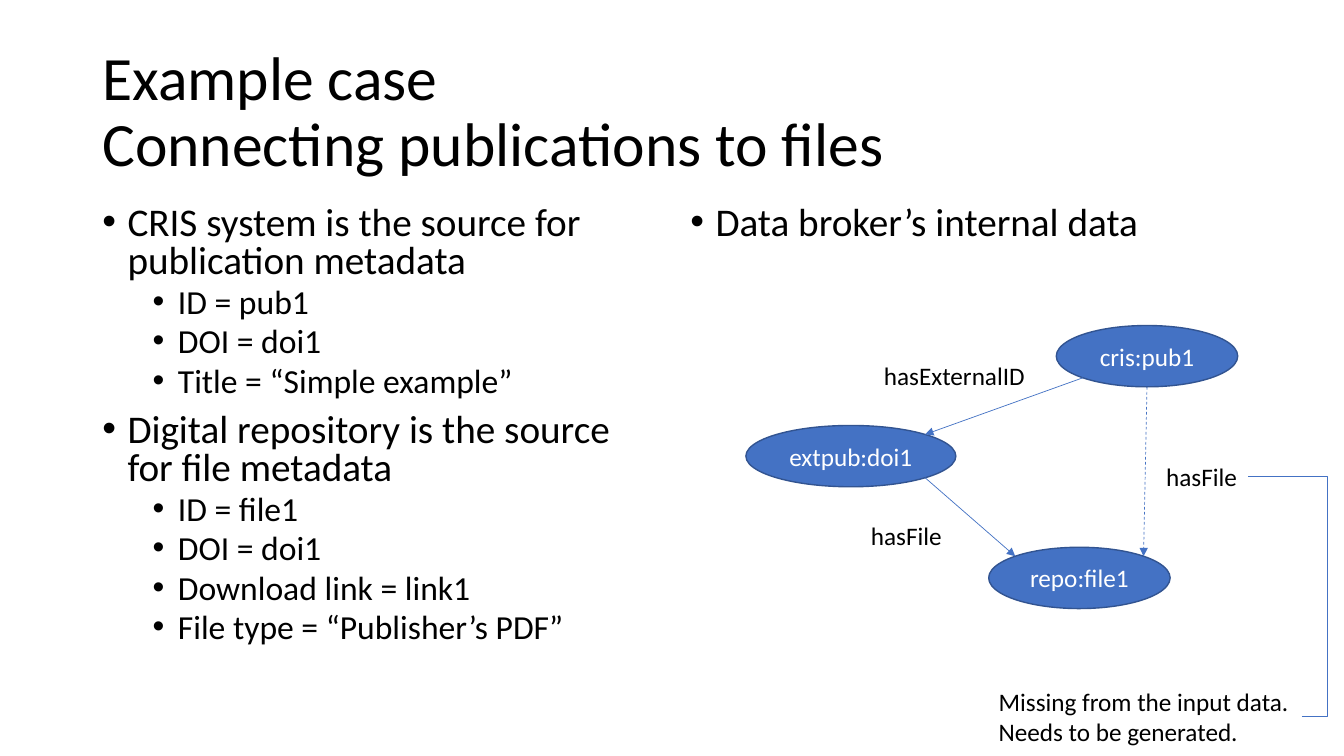
from math import cos, radians, sin
from lxml.etree import SubElement
from pptx import Presentation
from pptx.dml.color import RGBColor
from pptx.enum.dml import MSO_LINE_DASH_STYLE as Dash
from pptx.enum.shapes import MSO_CONNECTOR as Link, MSO_SHAPE as Preset
from pptx.enum.text import MSO_ANCHOR as Anchor, MSO_AUTO_SIZE as Fit, PP_ALIGN as Align
from pptx.oxml.ns import qn
from pptx.util import Inches, Pt

COLORS = {"text": "000000", "node": "4472C4", "edge": "325491", "on_node": "FFFFFF"}
COLUMNS, ROWS = 32, 18
BULLETS = [
    {"size": 28, "before": 10, "indent": 0.25},
    {"size": 24, "before": 5, "indent": 0.75},
]


def apply(target, values):
    for name, value in values.items():
        setattr(target, name, value)


class Diagram:
    font = "Calibri"

    def __init__(self, deck):
        self.column = deck.slide_width / COLUMNS
        self.row = deck.slide_height / ROWS
        self.shapes = deck.slides.add_slide(deck.slide_layouts[6]).shapes

    def place(self, *lengths):
        units = (self.column, self.row) * 2
        return [round(length * unit) for length, unit in zip(lengths, units)]

    def fill_in(self, paragraph, text, size, color="text", **layout):
        paragraph.text = text
        apply(paragraph, layout)
        for run in paragraph.runs:
            apply(run.font, {"name": self.font, "size": Pt(size)})
            run.font.color.rgb = RGBColor.from_string(COLORS[color])

    def paragraphs(self, frame, count):
        return [frame.paragraphs[0]] + [frame.add_paragraph() for _ in range(count - 1)]

    def title(self, box, text):
        frame = self.shapes.add_textbox(*self.place(*box)).text_frame
        apply(frame, {"word_wrap": True, "vertical_anchor": Anchor.MIDDLE})
        self.fill_in(frame.paragraphs[0], text, 44, line_spacing=0.9)

    def bullets(self, box, items):
        frame = self.shapes.add_textbox(*self.place(*box)).text_frame
        frame.word_wrap = True
        for paragraph, (level, text) in zip(self.paragraphs(frame, len(items)), items):
            style = BULLETS[level]
            self.fill_in(paragraph, text, style["size"], level=level,
                         line_spacing=0.8, space_before=Pt(style["before"]))
            props = paragraph._p.get_or_add_pPr()
            props.set("marL", str(Inches(style["indent"])))
            props.set("indent", str(-Inches(0.25)))
            SubElement(props, qn("a:buFont")).set("typeface", "Arial")
            SubElement(props, qn("a:buChar")).set("char", "•")

    def label(self, box, *lines):
        frame = self.shapes.add_textbox(*self.place(*box)).text_frame
        apply(frame, {"word_wrap": False, "auto_size": Fit.SHAPE_TO_FIT_TEXT})
        for paragraph, line in zip(self.paragraphs(frame, len(lines)), lines):
            self.fill_in(paragraph, line, 18)

    def node(self, box, text):
        oval = self.shapes.add_shape(Preset.OVAL, *self.place(*box))
        oval.shadow.inherit = False
        oval.fill.solid()
        oval.fill.fore_color.rgb = RGBColor.from_string(COLORS["node"])
        oval.line.color.rgb = RGBColor.from_string(COLORS["edge"])
        oval.line.width = Pt(1)
        oval.text_frame.vertical_anchor = Anchor.MIDDLE
        self.fill_in(oval.text_frame.paragraphs[0], text, 18, "on_node", alignment=Align.CENTER)
        return oval

    def rim(self, oval, degrees):
        across, down = oval.width / 2, oval.height / 2
        angle = radians(degrees)
        return (round(oval.left + across * (1 + cos(angle))),
                round(oval.top + down * (1 + sin(angle))))

    def line(self, kind, start, end, dash=None):
        link = self.shapes.add_connector(kind, *start, *end)
        link.line.color.rgb = RGBColor.from_string(COLORS["node"])
        apply(link.line, {"width": Pt(0.5), "dash_style": dash})
        SubElement(link._element.spPr, qn("a:effectLst"))
        return link

    def arrow(self, source, leave, target, arrive, dash=None):
        link = self.line(Link.STRAIGHT, self.rim(source, leave), self.rim(target, arrive), dash)
        SubElement(link._element.spPr.get_or_add_ln(), qn("a:tailEnd")).set("type", "triangle")

    def bracket(self, start, end, bend):
        link = self.line(Link.ELBOW, self.place(*start), self.place(*end))
        outline = link._element.spPr.find(qn("a:prstGeom"))
        guide = SubElement(outline.get_or_add_avLst(), qn("a:gd"))
        guide.set("name", "adj1")
        guide.set("fmla", f"val {round(bend * 100000)}")


def main():
    deck = Presentation()
    apply(deck, {"slide_width": Inches(13.33), "slide_height": Inches(7.5)})
    diagram = Diagram(deck)

    diagram.title((2.2, 0.96, 27.6, 3.48), "Example case\nConnecting publications to files")
    sources = [
        (0, "CRIS system is the source for publication metadata"),
        (1, "ID = pub1"),
        (1, "DOI = doi1"),
        (1, "Title = “Simple example”"),
        (0, "Digital repository is the source for file metadata"),
        (1, "ID = file1"),
        (1, "DOI = doi1"),
        (1, "Download link = link1"),
        (1, "File type = “Publisher’s PDF”"),
    ]
    broker = [(0, "Data broker’s internal data")]
    for left, items in ((2.2, sources), (16.2, broker)):
        diagram.bullets((left, 4.8, 13.6, 11.42), items)

    publication = diagram.node((25.15, 7.75, 4.32, 1.46), "cris:pub1")
    file = diagram.node((23.54, 13.03, 4.32, 1.46), "repo:file1")
    external = diagram.node((17.76, 10.13, 5, 1.46), "extpub:doi1")
    diagram.arrow(publication, 135, external, -45)
    diagram.arrow(external, 45, file, -135)
    diagram.arrow(publication, 90, file, -45, Dash.DASH)

    diagram.label((20.81, 8.47, 3.86, 0.96), "hasExternalID")
    for left, top in ((20.5, 12.26), (27.53, 10.87)):
        diagram.label((left, top, 2.18, 0.96), "hasFile")
    diagram.label((23.54, 16.22, 7.46, 1.7),
                  "Missing from the input data.", "Needs to be generated.")
    diagram.bracket((31, 17.06), (29.71, 11.35), -0.47)

    deck.save("out.pptx")


if __name__ == "__main__":
    main()
